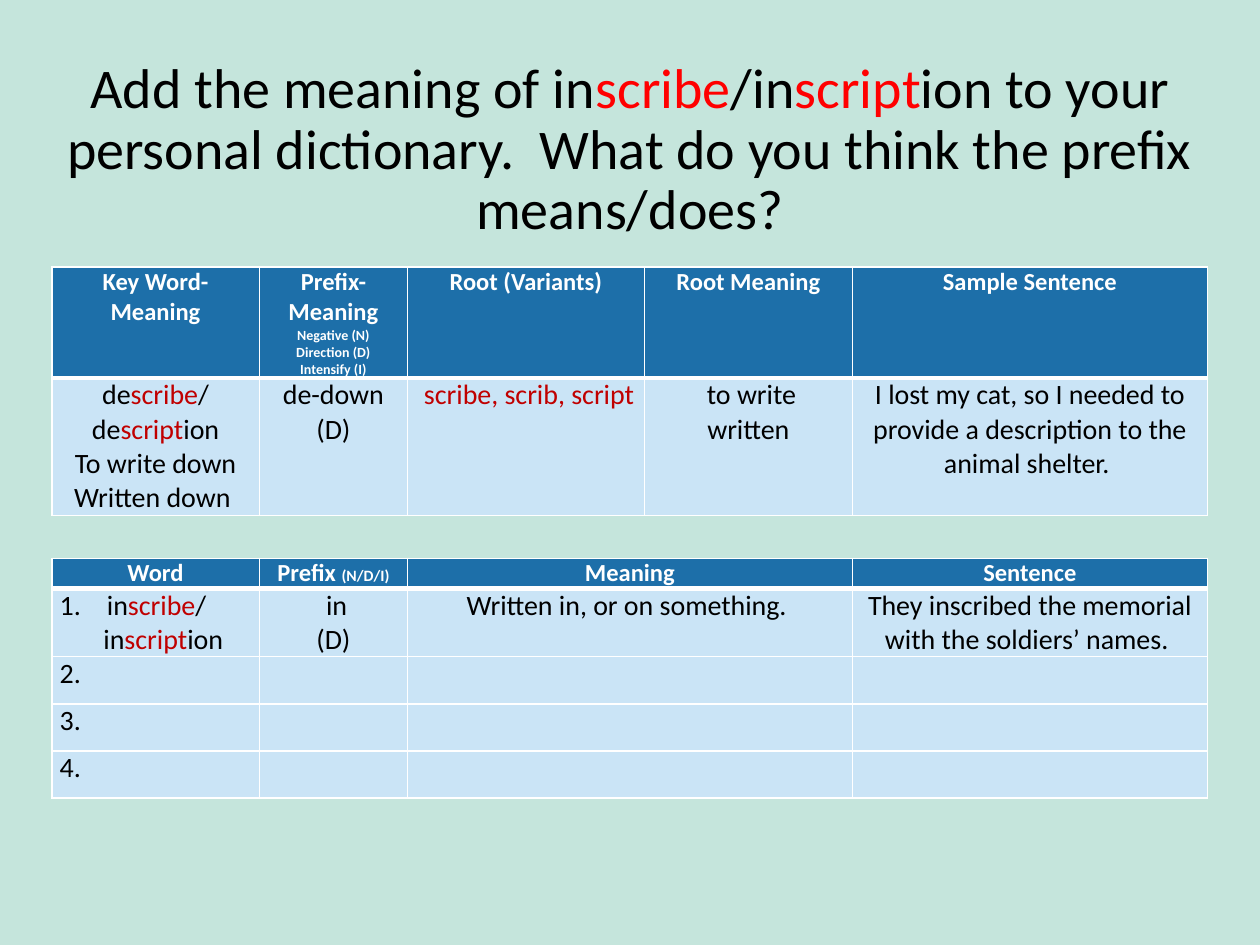
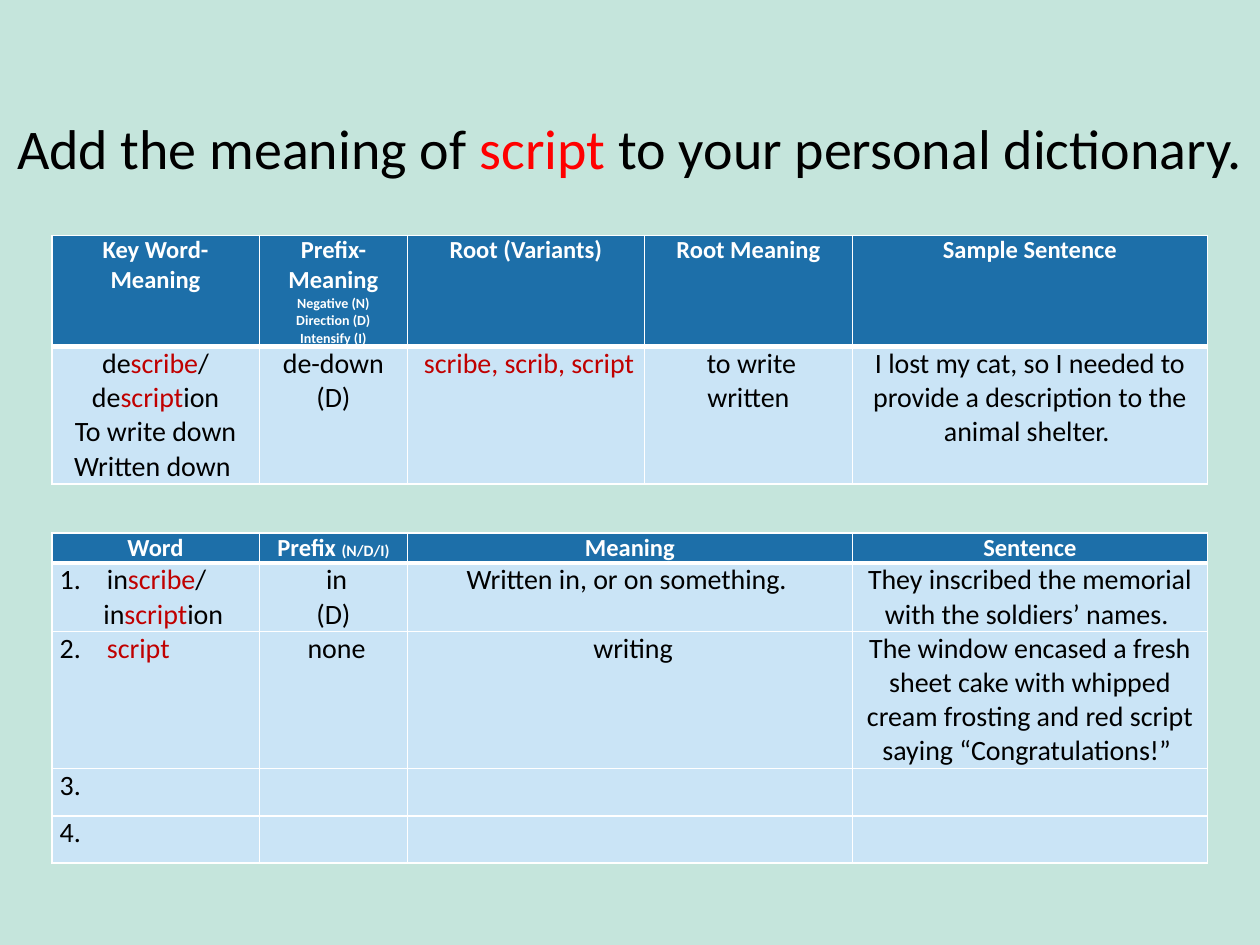
from lxml.etree import SubElement
from pptx import Presentation
from pptx.dml.color import RGBColor
from pptx.enum.text import MSO_ANCHOR, PP_ALIGN
from pptx.oxml.ns import qn
from pptx.util import Pt

COLORS = {
    "background": "C5E5DC",
    "header": "1D6FA9",
    "body": "CAE4F6",
    "border": "FFFFFF",
    "header_text": "FFFFFF",
    "text": "000000",
    "title_root": "FF0000",
    "root": "C00000",
}
FONT = "Calibri"
SLIDE_WIDTH, SLIDE_HEIGHT = 720, 540
TABLE_LEFT = 29.6
WORD, PREFIX, ROOT, ROOT_MEANING, SENTENCE = 118.6, 84.7, 135.4, 118.8, 203
KEY_HEIGHTS = [63.5, 78.5]
HEADER_HEIGHT, TWO_LINES, FOUR_LINES, EMPTY = 17.2, 39, 78.5, 27
NUMBER_INDENT = 27
SECOND_LINE_INDENT = 25

# In all texts, [brackets] mark the emphasised part, \n a paragraph, \v a line break.
KEY_ROWS = [
    ["Key Word- Meaning",
     "Prefix-Meaning\n[Negative (N)]\n[Direction (D)]\n[Intensify (I)]",
     "Root (Variants)", "Root Meaning", "Sample Sentence"],
    ["de[scribe]/\vde[script]ion\nTo write down\nWritten down ",
     " de-down \n(D)",
     "[ scribe, scrib, script]",
     " to write\nwritten",
     "I lost my cat, so I needed to provide a description to the animal shelter. "],
]
WORD_HEADER = ["Word", "Prefix [(N/D/I)]", "Meaning", "Sentence"]
INSCRIBE = ["in[scribe]/\nin[script]ion", " in\n(D)",
            "Written in, or on something. ",
            "They inscribed the memorial with the soldiers’ names. "]
SCRIPT = ["2.\t[script]", " none", " writing",
          "The window encased a fresh sheet cake with whipped cream frosting "
          "and red script saying “Congratulations!” "]


def color(name):
    return RGBColor.from_string(COLORS[name])


def blank_row(number):
    return [f"{number}.", "", "", ""]


def write(paragraph, marked_text, base, emphasis, bold=False):
    """Write marked text; base and emphasis are (size, colour name) pairs."""
    for index, span in enumerate(marked_text.replace("]", "[").split("[")):
        size, color_name = emphasis if index % 2 else base
        for line_index, line in enumerate(span.split("\v")):
            if line_index:
                paragraph.add_line_break()
            if line:
                run = paragraph.add_run()
                run.text = line
                run.font.name = FONT
                run.font.size = Pt(size)
                run.font.bold = bold
                run.font.color.rgb = color(color_name)


def add_title(slide, marked_text, left=0, top=47, width=720, height=78.5):
    frame = slide.shapes.add_textbox(Pt(left), Pt(top), Pt(width), Pt(height)).text_frame
    frame.word_wrap = True
    frame.vertical_anchor = MSO_ANCHOR.MIDDLE
    frame.margin_left = frame.margin_right = Pt(5)
    frame.margin_top = frame.margin_bottom = Pt(3)
    paragraph = frame.paragraphs[0]
    paragraph.alignment = PP_ALIGN.CENTER
    paragraph.line_spacing = 0.9
    write(paragraph, marked_text, (32, "text"), (32, "title_root"))


def set_borders(cell, row):
    """Draw thin borders, and a thick one between header and body."""
    properties = cell._tc.get_or_add_tcPr()
    widths = {"lnL": 1, "lnR": 1, "lnT": 3 if row == 1 else 1, "lnB": 3 if row == 0 else 1}
    for side, width in widths.items():
        line = SubElement(properties, qn(f"a:{side}"), w=str(int(Pt(width))))
        fill = SubElement(line, qn("a:solidFill"))
        SubElement(fill, qn("a:srgbClr"), val=COLORS["border"])


def fill_cell(cell, row, marked_text, small_size):
    set_borders(cell, row)
    cell.fill.solid()
    cell.fill.fore_color.rgb = color("body" if row else "header")
    cell.margin_left = cell.margin_right = Pt(4.5)
    cell.margin_top = cell.margin_bottom = Pt(0)
    for index, text in enumerate(marked_text.split("\n")):
        frame = cell.text_frame
        paragraph = frame.add_paragraph() if index else frame.paragraphs[0]
        paragraph.alignment = PP_ALIGN.CENTER
        if row:
            write(paragraph, text, (16, "text"), (16, "root"))
        else:
            write(paragraph, text, (14, "header_text"), (small_size, "header_text"), bold=True)


def add_grid(slide, top, widths, heights, rows, small_size):
    table = slide.shapes.add_table(len(rows), len(widths), Pt(TABLE_LEFT), Pt(top),
                                   Pt(sum(widths)), Pt(sum(heights))).table
    table.horz_banding = False
    for column, width in zip(table.columns, widths):
        column.width = Pt(width)
    for row, row_height in enumerate(heights):
        table.rows[row].height = Pt(row_height)
        for column, text in enumerate(rows[row]):
            fill_cell(table.cell(row, column), row, text, small_size)
    return table


def add_key_table(slide, top):
    add_grid(slide, top, [WORD, PREFIX, ROOT, ROOT_MEANING, SENTENCE],
             KEY_HEIGHTS, KEY_ROWS, 8)


def number_words(table):
    """Left-align the word column with hanging numbers."""
    for row in range(1, len(table.rows)):
        for index, paragraph in enumerate(table.cell(row, 0).text_frame.paragraphs):
            paragraph.alignment = PP_ALIGN.LEFT
            properties = paragraph._p.get_or_add_pPr()
            if index:
                properties.set("marL", str(int(Pt(SECOND_LINE_INDENT))))
                continue
            properties.set("marL", str(int(Pt(NUMBER_INDENT))))
            properties.set("indent", str(int(Pt(-NUMBER_INDENT))))
            if row == 1:
                SubElement(properties, qn("a:buAutoNum"), type="arabicPeriod")


def add_word_table(slide, top, second_word, second_height):
    rows = [WORD_HEADER, INSCRIBE, second_word, blank_row(3), blank_row(4)]
    heights = [HEADER_HEIGHT, TWO_LINES, second_height, EMPTY, EMPTY]
    table = add_grid(slide, top, [WORD, PREFIX, ROOT + ROOT_MEANING, SENTENCE],
                     heights, rows, 9)
    number_words(table)


def add_dictionary_slide(deck, title, key_top, word_top, second_word, second_height):
    slide = deck.slides.add_slide(deck.slide_layouts[6])
    slide.background.fill.solid()
    slide.background.fill.fore_color.rgb = color("background")
    add_title(slide, title)
    add_key_table(slide, key_top)
    add_word_table(slide, word_top, second_word, second_height)


def main():
    deck = Presentation()
    deck.slide_width, deck.slide_height = Pt(SLIDE_WIDTH), Pt(SLIDE_HEIGHT)
    add_dictionary_slide(
        deck,
        "Add the meaning of in[scribe]/in[script]ion to your personal dictionary.  "
        "What do you think the prefix means/does?",
        152.6, 319, blank_row(2), EMPTY)
    add_dictionary_slide(
        deck, "Add the meaning of [script] to your personal dictionary.",
        134.6, 304.6, SCRIPT, FOUR_LINES)
    deck.save("out.pptx")


if __name__ == "__main__":
    main()
